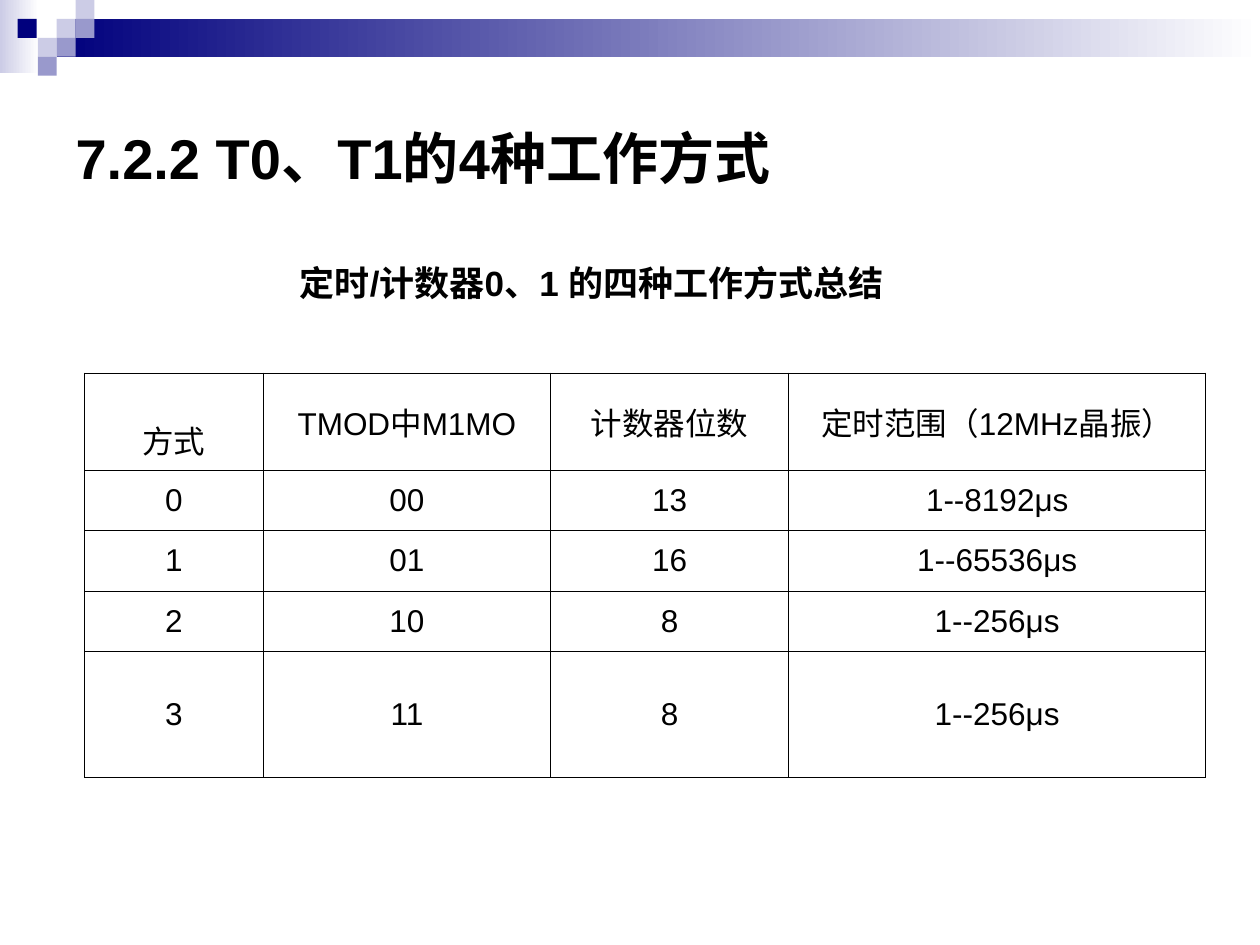
from lxml import etree
from pptx import Presentation
from pptx.dml.color import RGBColor
from pptx.enum.shapes import MSO_SHAPE
from pptx.enum.text import MSO_ANCHOR, MSO_AUTO_SIZE, PP_ALIGN
from pptx.oxml.ns import qn
from pptx.util import Inches, Pt

RECTANGLE = MSO_SHAPE.RECTANGLE
MIDDLE = MSO_ANCHOR.MIDDLE
LEFT, CENTER = PP_ALIGN.LEFT, PP_ALIGN.CENTER
NO_FIT, FIT_SHAPE = MSO_AUTO_SIZE.NONE, MSO_AUTO_SIZE.SHAPE_TO_FIT_TEXT

COLORS = {
    "navy": "00007D",
    "violet": "9999CC",
    "lavender": "CCCCE6",
    "white": "FFFFFF",
    "black": "000000",
}
TILE = 0.15
TILES = [
    (0.45, 0.15, "lavender"),
    (0.6, 0, "lavender"),
    (0.6, 0.15, "violet"),
    (0.3, 0.3, "lavender"),
    (0.14, 0.15, "navy"),
    (0.45, 0.3, "violet"),
    (0.3, 0.45, "violet"),
]
MODE_ROWS = [
    ["方式", "TMOD中M1MO", "计数器位数", "定时范围（12MHz晶振）"],
    ["0", "00", "13", "1--8192μs"],
    ["1", "01", "16", "1--65536μs"],
    ["2", "10", "8", "1--256μs"],
    ["3", "11", "8", "1--256μs"],
]
COLUMN_WIDTHS = [1.42, 2.28, 1.89, 3.31]
ROW_HEIGHTS = [0.77, 0.48, 0.48, 0.48, 1]


class SlideBuilder:
    """Holds the style and the slide being built."""

    def __init__(self, slide, font_name="Arial", border_width=0.45):
        self.slide = slide
        self.font_name = font_name
        self.border_width = border_width

    def color(self, name):
        return RGBColor.from_string(COLORS[name])

    def set_text(self, frame, text, size, bold=False, alignment=LEFT):
        frame.text = text
        paragraph = frame.paragraphs[0]
        paragraph.alignment = alignment
        font = paragraph.runs[0].font
        values = {"name": self.font_name, "size": Pt(size), "bold": bold}
        for attribute, value in values.items():
            setattr(font, attribute, value)
        font.color.rgb = self.color("black")

    def rectangle(self, left, top, width, height, start, end=None):
        box = map(Inches, (left, top, width, height))
        shape = self.slide.shapes.add_shape(RECTANGLE, *box)
        shape.shadow.inherit = False
        shape.line.fill.background()
        if end:
            shape.fill.gradient()
            shape.fill.gradient_angle = 0
            for stop, name in zip(shape.fill.gradient_stops, (start, end)):
                stop.color.rgb = self.color(name)
        else:
            shape.fill.solid()
            shape.fill.fore_color.rgb = self.color(start)

    def title(self, text, left, top, width, height):
        shape = self.slide.shapes.title
        values = {"left": left, "top": top, "width": width, "height": height}
        for attribute, value in values.items():
            setattr(shape, attribute, Inches(value))
        shape.text_frame.auto_size = NO_FIT
        shape.text_frame.vertical_anchor = MIDDLE
        self.set_text(shape.text_frame, text, 32, bold=True)

    def caption(self, text, left, top, width, height):
        box = map(Inches, (left, top, width, height))
        frame = self.slide.shapes.add_textbox(*box).text_frame
        values = {"word_wrap": False, "auto_size": FIT_SHAPE, "vertical_anchor": MIDDLE}
        for attribute, value in values.items():
            setattr(frame, attribute, value)
        self.set_text(frame, text, 20, bold=True)

    def border(self, cell):
        properties = cell._tc.get_or_add_tcPr()
        for side in ("a:lnL", "a:lnR", "a:lnT", "a:lnB"):
            line = etree.SubElement(properties, qn(side), w=str(Pt(self.border_width)))
            fill = etree.SubElement(line, qn("a:solidFill"))
            etree.SubElement(fill, qn("a:srgbClr"), val=COLORS["black"])

    def table(self, rows, left, top, widths, heights):
        box = map(Inches, (left, top, sum(widths), sum(heights)))
        table = self.slide.shapes.add_table(len(rows), len(widths), *box).table
        table.first_row = False
        table.horz_banding = False
        for column, width in zip(table.columns, widths):
            column.width = Inches(width)
        for row, height, texts in zip(table.rows, heights, rows):
            row.height = Inches(height)
            for cell, text in zip(row.cells, texts):
                self.set_text(cell.text_frame, text, 18, alignment=CENTER)
                cell.vertical_anchor = MIDDLE
                self.border(cell)
                cell.fill.background()
        return table


def main():
    presentation = Presentation()
    presentation.slide_width = Inches(10)
    presentation.slide_height = Inches(7.5)
    slide = presentation.slides.add_slide(presentation.slide_layouts[5])
    builder = SlideBuilder(slide)

    builder.rectangle(0, 0, 0.31, 0.58, "lavender", "white")
    builder.rectangle(0.45, 0.15, 9.55, 0.3, "navy", "white")
    for left, top, name in TILES:
        builder.rectangle(left, top, TILE, TILE, name)

    builder.title("7.2.2 T0、T1的4种工作方式", 0.5, 0.5, 9, 1.5)
    builder.caption("定时/计数器0、1 的四种工作方式总结", 2.28, 2.02, 5.24, 0.44)
    table = builder.table(MODE_ROWS, 0.67, 2.96, COLUMN_WIDTHS, ROW_HEIGHTS)
    table.cell(0, 0).margin_top = Inches(0.34)

    presentation.save("out.pptx")


if __name__ == "__main__":
    main()
